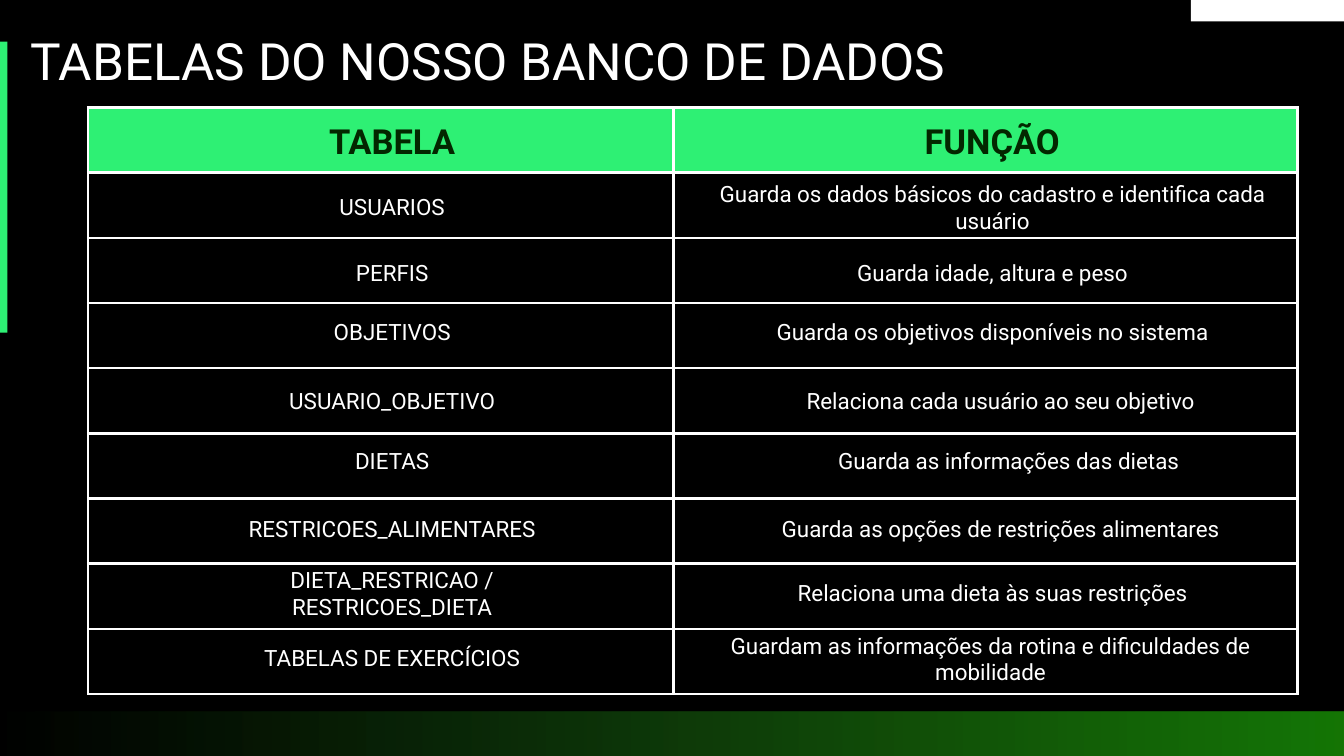
from lxml.etree import SubElement
from pptx import Presentation
from pptx.dml.color import RGBColor as Rgb
from pptx.enum.shapes import MSO_SHAPE as Preset
from pptx.enum.text import PP_ALIGN as Align
from pptx.oxml.ns import qn
from pptx.util import Emu, Pt

PX = 9144
WIDTH, HEIGHT = 2000, 1125
FONT = "Roboto"
COLORS = {
    "black": "000000",
    "white": "FFFFFF",
    "green": "2EF074",
    "header": "032700",
    "moss": "12490C",
    "leaf": "1B9906",
}


def px(*lengths):
    return [Emu(length * PX) for length in lengths]


def rgb(name):
    return Rgb.from_string(COLORS[name])


def write(frame, text, size=24, color="white", bold=False, align=Align.CENTER):
    frame.text = text
    for paragraph in frame.paragraphs:
        paragraph.alignment = align
        paragraph.line_spacing = Pt(round(size * 1.2, 1))
        font = paragraph.font
        font.name, font.size, font.bold = FONT, Pt(size), bold
        font.color.rgb = rgb(color)


class Deck:
    def __init__(self):
        self.show = Presentation()
        self.show.slide_width, self.show.slide_height = px(WIDTH, HEIGHT)
        self.slide = self.show.slides.add_slide(self.show.slide_layouts[6])
        background = self.slide.background.fill
        background.solid()
        background.fore_color.rgb = rgb("black")

    def bar(self, left, top, width, height, color):
        bar = self.slide.shapes.add_shape(Preset.RECTANGLE, *px(left, top, width, height))
        bar.shadow.inherit = False
        bar.line.fill.background()
        bar.fill.solid()
        bar.fill.fore_color.rgb = rgb(color)
        return bar

    def fade(self, left, top, width, height, colors, opacity):
        band = self.bar(left, top, width, height, colors[0])
        band.fill.gradient()
        band.fill.gradient_angle = 0
        stops = band.fill._fill._gradFill.find(qn("a:gsLst"))
        for stop in list(stops):
            stops.remove(stop)
        for index, color in enumerate(colors):
            position = index * 100000 // (len(colors) - 1)
            stop = SubElement(stops, qn("a:gs"), pos=str(position))
            tint = SubElement(stop, qn("a:srgbClr"), val=COLORS[color])
            SubElement(tint, qn("a:alpha"), val=str(opacity * 1000))

    def label(self, left, top, width, height, text, **style):
        box = self.slide.shapes.add_textbox(*px(left, top, width, height))
        frame = box.text_frame
        frame.word_wrap = True
        frame.margin_left = frame.margin_top = frame.margin_right = frame.margin_bottom = 0
        write(frame, text, **style)

    def grid(self, left, top, columns, row_height, rows):
        table = self.slide.shapes.add_table(
            rows, len(columns), *px(left, top, sum(columns), row_height * rows)).table
        for column, width in zip(table.columns, px(*columns)):
            column.width = width
        for index, row in enumerate(table.rows):
            for cell in row.cells:
                self.borders(cell)
                if index == 0:
                    cell.fill.solid()
                    cell.fill.fore_color.rgb = rgb("green")
                else:
                    cell.fill.background()

    def borders(self, cell):
        properties = cell._tc.get_or_add_tcPr()
        for side in ("lnL", "lnR", "lnT", "lnB"):
            line = SubElement(properties, qn(f"a:{side}"), w=str(Pt(3)))
            SubElement(SubElement(line, qn("a:solidFill")), qn("a:srgbClr"), val=COLORS["white"])


ROWS = [
    (288, "USUARIOS", 1034, 268, "Guarda os dados básicos do cadastro e identifica cada usuário"),
    (385, "PERFIS", 1034, 385, "Guarda idade, altura e peso"),
    (474, "OBJETIVOS", 1034, 474, "Guarda os objetivos disponíveis no sistema"),
    (576, "USUARIO_OBJETIVO", 1046, 576, "Relaciona cada usuário ao seu objetivo"),
    (665, "DIETAS", 1058, 665, "Guarda as informações das dietas"),
    (766, "RESTRICOES_ALIMENTARES", 1046, 766, "Guarda as opções de restrições alimentares"),
    (842, "DIETA_RESTRICAO /\nRESTRICOES_DIETA", 1034, 862, "Relaciona uma dieta às suas restrições"),
    (958, "TABELAS DE EXERCÍCIOS", 1031, 940,
     "Guardam as informações da rotina e dificuldades de mobilidade"),
]


def main():
    deck = Deck()
    deck.bar(-11, 62, 22, 433, "green")
    deck.bar(1772, 0, 228, 32, "white")
    deck.fade(-11, 1059, 2052, 166, ["black", "moss", "leaf"], 78)
    deck.grid(131, 160, [871, 929], 97, len(ROWS) + 1)
    deck.label(45, 43, 1528, 94, "TABELAS DO NOSSO BANCO DE DADOS", size=55, align=Align.LEFT)
    for left, heading in ((304, "TABELA"), (1197, "FUNÇÃO")):
        deck.label(left, 179, 559, 65, heading, size=37, color="header", bold=True)
    for name_top, name, purpose_left, purpose_top, purpose in ROWS:
        deck.label(304, name_top, 559, 80 if "\n" in name else 41, name)
        deck.label(purpose_left, purpose_top, 886, 80 if len(purpose) > 50 else 41, purpose)
    deck.show.save("out.pptx")


if __name__ == "__main__":
    main()
